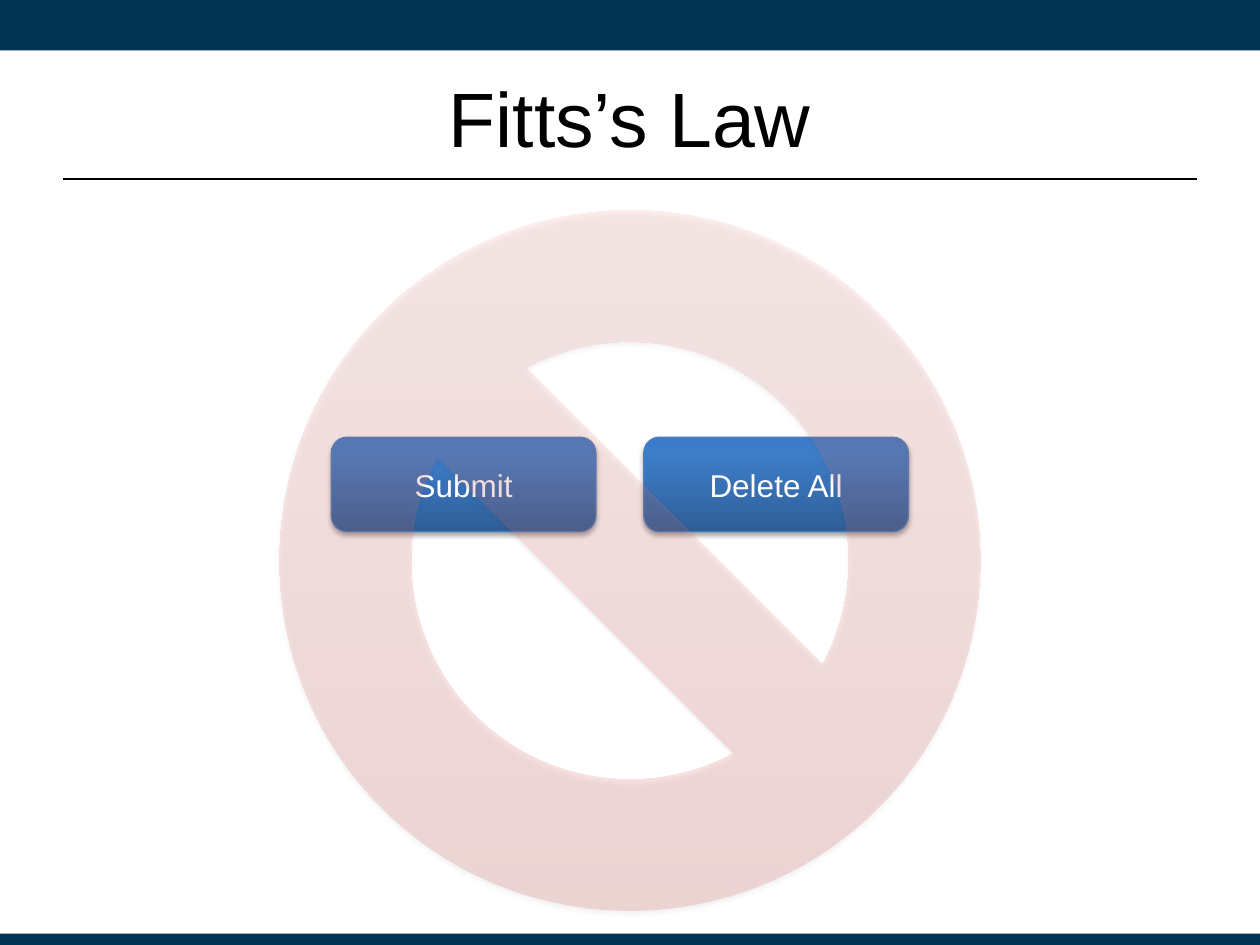
from lxml import etree
from pptx import Presentation
from pptx.dml.color import RGBColor
from pptx.enum.shapes import MSO_CONNECTOR, MSO_SHAPE
from pptx.enum.text import MSO_ANCHOR, PP_ALIGN
from pptx.oxml.ns import qn
from pptx.util import Inches, Pt

RECT, ROUND, BAN = MSO_SHAPE.RECTANGLE, MSO_SHAPE.ROUNDED_RECTANGLE, MSO_SHAPE.NO_SYMBOL
LINE, MID, CENTER = MSO_CONNECTOR.STRAIGHT, MSO_ANCHOR.MIDDLE, PP_ALIGN.CENTER

WIDE, HIGH = 10, 7.5
TITLE = "Fitts’s Law"
BUTTONS = ["Submit", "Delete All"]
BARS = [(0, 0.4), (7.41, 0.1)]
NAVY, BLACK, WHITE, EDGE = "003252", "000000", "FFFFFF", "4B7EBC"
BLUE = [(0, "2F5F99", 100), (80, "3D7CC7", 100), (100, "3A7CCB", 100)]
RED = [(0, "D1403C", 16), (100, "FFA6A5", 16)]
SIDE, RULE = 0.5, 1.42
LEFT, TOP, STEP, BTN = 2.63, 3.47, 2.48, (2.1, 0.75)
SIGN, SIGN_TOP = 5.56, 1.67


def color(code):
    """Turn a hex string into a colour."""
    return RGBColor.from_string(code)


def node(parent, tag, **attrs):
    """Add a drawing element under a parent."""
    return etree.SubElement(parent, qn("a:" + tag), {k: str(v) for k, v in attrs.items()})


def tint(parent, code, alpha):
    """Add a colour with its opacity in percent."""
    node(node(parent, "srgbClr", val=code), "alpha", val=alpha * 1000)


def add_box(slide, kind, left, top, width, height):
    """Add a preset shape without line or shadow."""
    box = slide.shapes.add_shape(kind, *map(Inches, (left, top, width, height)))
    box.shadow.inherit = False
    box.line.fill.background()
    return box


def gloss(box, stops):
    """Give a shape an upward gradient and a soft shadow."""
    props = box._element.spPr
    grad = etree.Element(qn("a:gradFill"), rotWithShape="1")
    steps = node(grad, "gsLst")
    for pos, code, alpha in stops:
        tint(node(steps, "gs", pos=pos * 1000), code, alpha)
    node(grad, "lin", ang=270 * 60000, scaled=0)
    props.find(qn("a:prstGeom")).addnext(grad)
    shade = node(props.find(qn("a:effectLst")), "outerShdw", blurRad=Pt(3.1),
                 dist=Pt(1.8), dir=90 * 60000, rotWithShape=0)
    tint(shade, BLACK, 35)


def write(box, text, size, code):
    """Write one centred line in a shape."""
    frame = box.text_frame
    frame.word_wrap = True
    frame.vertical_anchor = MID
    para = frame.paragraphs[0]
    para.text = text
    para.alignment = CENTER
    para.font.name, para.font.size = "Arial", Pt(size)
    para.font.color.rgb = color(code)


def main():
    """Build the slide and save it."""
    deck = Presentation()
    deck.slide_width, deck.slide_height = Inches(WIDE), Inches(HIGH)
    slide = deck.slides.add_slide(deck.slide_layouts[6])
    for top, height in BARS:
        bar = add_box(slide, RECT, 0, top, WIDE, height)
        bar.fill.solid()
        bar.fill.fore_color.rgb = color(NAVY)

    span = WIDE - 2 * SIDE
    title = slide.shapes.add_textbox(*map(Inches, (SIDE, 0.3, span, 1.25)))
    write(title, TITLE, 44, BLACK)

    for col, label in enumerate(BUTTONS):
        button = add_box(slide, ROUND, LEFT + col * STEP, TOP, *BTN)
        gloss(button, BLUE)
        button.line.color.rgb = color(EDGE)
        button.line.width = Pt(0.75)
        write(button, label, 18, WHITE)

    sign = add_box(slide, BAN, (WIDE - SIGN) / 2, SIGN_TOP, SIGN, SIGN)
    gloss(sign, RED)

    rule = slide.shapes.add_connector(LINE, *map(Inches, (SIDE, RULE, SIDE + span, RULE)))
    rule.line.color.rgb = color(BLACK)
    rule.line.width = Pt(1.25)
    node(rule._element.spPr, "effectLst")
    deck.save("out.pptx")


if __name__ == "__main__":
    main()
